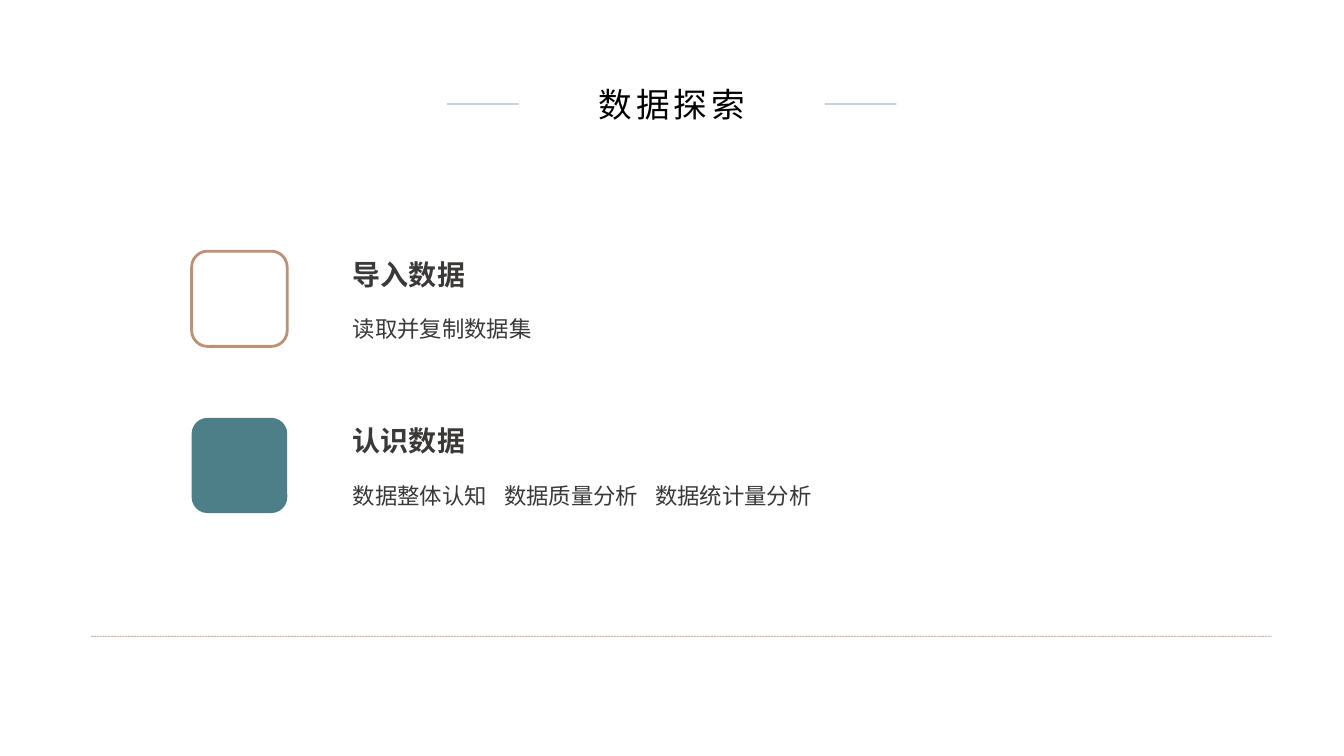
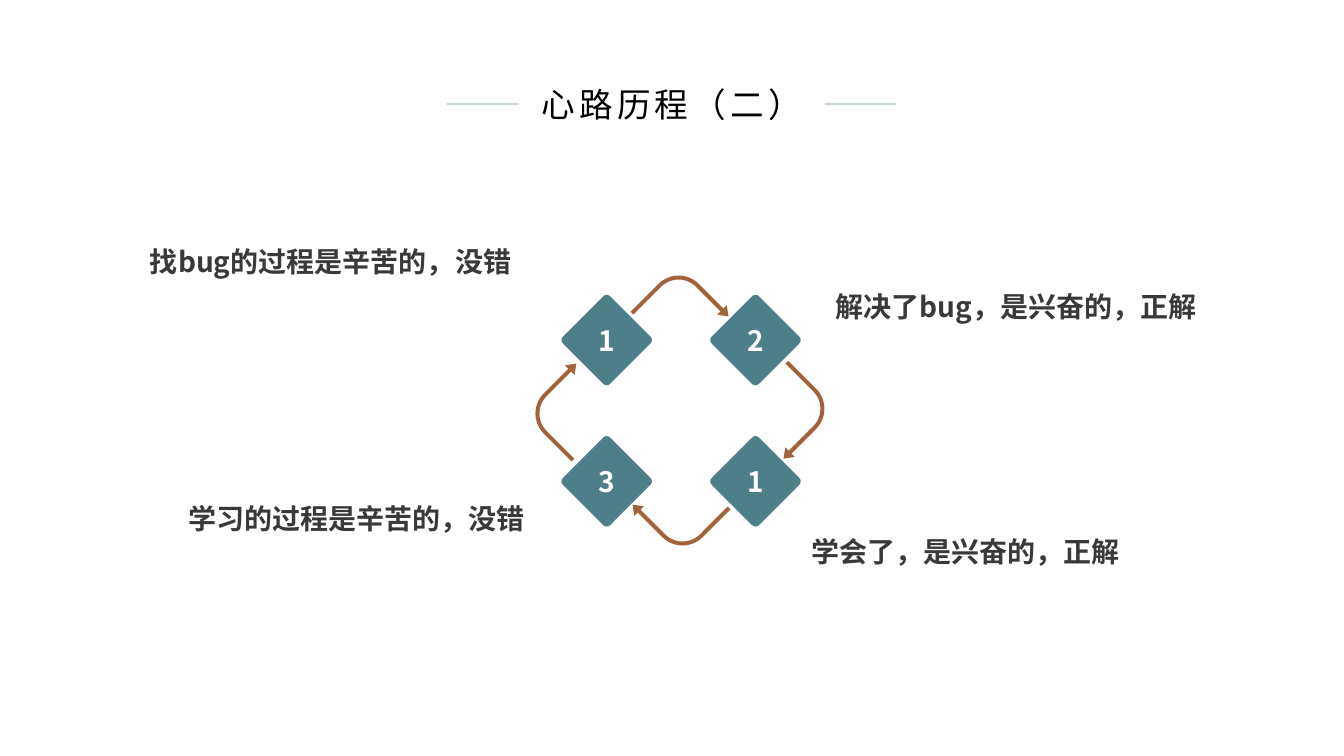
"""Build two slides on data exploration and the learning cycle."""
from dataclasses import dataclass

from lxml import etree
from pptx import Presentation
from pptx import util as u
from pptx.dml.color import RGBColor
from pptx.enum import dml, shapes, text
from pptx.oxml.ns import qn


@dataclass(frozen=True)
class Theme:
    font: str = "Noto Sans CJK SC"
    teal: RGBColor = RGBColor(0x4D, 0x7F, 0x89)
    rust: RGBColor = RGBColor(0xA2, 0x63, 0x3C)
    ink: RGBColor = RGBColor(0x3B, 0x38, 0x38)
    black: RGBColor = RGBColor(0, 0, 0)
    white: RGBColor = RGBColor(0xFF, 0xFF, 0xFF)
    title_size: int = 24
    heading_size: int = 20
    body_size: int = 16


theme = Theme()


def write(box, words, size, colour, bold=False, align=text.PP_ALIGN.LEFT,
          anchor=text.MSO_ANCHOR.TOP, spacing=1.0, tracking=0, tabs=()):
    frame = box.text_frame
    frame.word_wrap = True
    frame.auto_size = text.MSO_AUTO_SIZE.NONE
    frame.vertical_anchor = anchor
    para = frame.paragraphs[0]
    settings = para._p.get_or_add_pPr()
    settings.set("marL", "0")
    settings.set("indent", "0")
    etree.SubElement(settings, qn("a:buNone"))
    if tabs:
        stops = etree.SubElement(settings, qn("a:tabLst"))
        for stop in tabs:
            etree.SubElement(stops, qn("a:tab"), pos=str(u.Cm(stop)), algn="l")
    para.alignment = align
    para.line_spacing = spacing
    para.space_before = u.Pt(0)
    span = para.add_run()
    span.text = words
    span.font.size = u.Pt(size)
    span.font.bold = bold
    span.font.color.rgb = colour
    span.font.name = theme.font
    letters = span._r.get_or_add_rPr()
    letters.set("spc", str(tracking * 100))
    etree.SubElement(letters, qn("a:ea"), typeface=theme.font)


def outline(shape, colour, width, opacity):
    shape.line.color.rgb = colour
    shape.line.width = u.Pt(width)
    tint = shape._element.xpath(".//a:ln//a:srgbClr")[0]
    etree.SubElement(tint, qn("a:alpha"), val=str(opacity * 1000))
    etree.SubElement(shape._element.spPr, qn("a:effectLst"))


deck = Presentation()
deck.slide_width, deck.slide_height = u.Cm(33.87), u.Cm(19.05)
comparison, title_only = deck.slide_layouts[4], deck.slide_layouts[5]

pages = []
for layout, title in ((comparison, "数据探索"), (title_only, "心路历程（二）")):
    page = deck.slides.add_slide(layout)
    box = page.shapes.title
    box.left, box.top, box.width, box.height = u.Cm(13.18), u.Cm(1.98), u.Cm(7.5), u.Cm(1.27)
    write(box, title, theme.title_size, theme.black,
          align=text.PP_ALIGN.CENTER, tracking=3)
    for left in (11.27, 20.79):
        dash = page.shapes.add_connector(
            shapes.MSO_CONNECTOR.STRAIGHT, u.Cm(left), u.Cm(2.62), u.Cm(left + 1.8), u.Cm(2.62))
        outline(dash, theme.teal, 1, 50)
    pages.append(page)
exploration, journey = pages

steps = (("导入数据", "读取并复制数据集"),
         ("认识数据", "数据整体认知\t数据质量分析\t数据统计量分析"))
squares = []
for row, (heading, detail) in enumerate(steps):
    shift = row * 4.2
    square = exploration.shapes.add_shape(
        shapes.MSO_SHAPE.ROUNDED_RECTANGLE, u.Cm(4.83), u.Cm(6.33 + shift), u.Cm(2.41), u.Cm(2.4))
    squares.append(square)
    for offset, top, width, height in ((1, 6.35, 5.44, 1.12), (2, 7.62, 21.6, 1.14)):
        box = exploration.placeholders[row * 2 + offset]
        box.left, box.top = u.Cm(8.64), u.Cm(top + shift)
        box.width, box.height = u.Cm(width), u.Cm(height)
    write(exploration.placeholders[row * 2 + 1], heading, theme.heading_size, theme.ink, bold=True)
    write(exploration.placeholders[row * 2 + 2], detail, theme.body_size, theme.ink,
          spacing=1.3, tabs=(3.77, 7.54))

hollow, solid = squares
hollow.fill.background()
outline(hollow, theme.rust, 2, 70)
solid.fill.solid()
solid.fill.fore_color.rgb = theme.teal
solid.line.fill.background()
solid.shadow.inherit = False

divider = exploration.shapes.add_connector(
    shapes.MSO_CONNECTOR.STRAIGHT, u.Cm(2.29), u.Cm(16.03), u.Cm(32.05), u.Cm(16.03))
outline(divider, theme.rust, 0.5, 70)
divider.line.dash_style = dml.MSO_LINE.SQUARE_DOT

tip = ((-0.1, -1.09), (-0.05, -1.13), (0, -1.14), (0.05, -1.13), (0.1, -1.09))
diamond_outline = []
for quarter in range(4):
    diamond_outline.extend(tip)
    tip = tuple((-y, x) for x, y in tip)

for number, across, down in (("1", 15.29, 8.57), ("2", 19.04, 8.57),
                             ("1", 19.04, 12.13), ("3", 15.29, 12.13)):
    points = [(u.Cm(across + x), u.Cm(down + y)) for x, y in diamond_outline]
    builder = journey.shapes.build_freeform(*points[0])
    builder.add_line_segments(points[1:], close=True)
    diamond = builder.convert_to_shape()
    diamond.fill.solid()
    diamond.fill.fore_color.rgb = theme.teal
    diamond.line.fill.background()
    diamond.shadow.inherit = False
    write(diamond, number, theme.heading_size, theme.white, bold=True,
          align=text.PP_ALIGN.CENTER, anchor=text.MSO_ANCHOR.MIDDLE)

for turn, (left, top) in enumerate(((16.27, 6.94), (18.95, 9.47), (16.2, 11.92), (13.49, 9.42))):
    arrow = journey.shapes.add_shape(
        shapes.MSO_SHAPE.BENT_ARROW, u.Cm(left), u.Cm(top), u.Cm(1.83), u.Cm(1.83))
    arrow.rotation = 45 + turn * 90
    for index, value in enumerate((0.055, 0.093, 0.127, 0.395)):
        arrow.adjustments[index] = value
    arrow.fill.solid()
    arrow.fill.fore_color.rgb = theme.rust
    arrow.line.fill.background()
    arrow.shadow.inherit = False

for words, left, top in (("找bug的过程是辛苦的，没错", 3.53, 5.79),
                         ("解决了bug，是兴奋的，正解", 20.8, 6.91),
                         ("学会了，是兴奋的，正解", 20.19, 13.08),
                         ("学习的过程是辛苦的，没错", 4.5, 12.27)):
    label = journey.shapes.add_textbox(u.Cm(left), u.Cm(top), u.Cm(11.96), u.Cm(1.37))
    write(label, words, theme.heading_size, theme.ink, bold=True, spacing=1.3)

deck.save("out.pptx")
